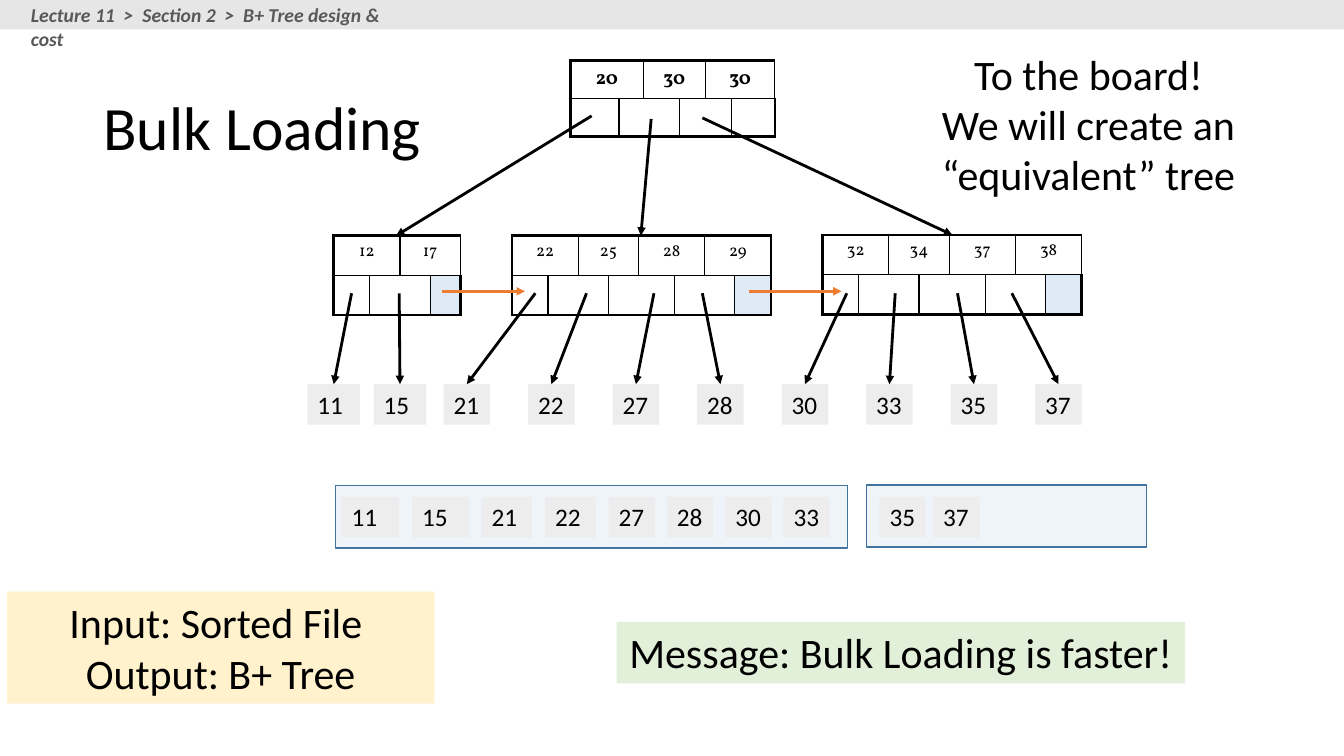
from lxml import etree
from pptx import Presentation, util as u
from pptx.dml.color import RGBColor
from pptx.enum import shapes as kinds, text as txt
from pptx.oxml import ns

COLORS = {"ink": "000000", "grey": "595959", "bar": "E7E6E6", "chip": "EDEDED",
          "page": "DEEBF7", "edge": "43739E", "next": "ED7D31",
          "cream": "FFF2CC", "mint": "E2F0D9"}
CENTER = {"alignment": txt.PP_ALIGN.CENTER}


def set_all(target, values):
    for key, value in values.items():
        setattr(target, key, value)


class TreeSlide:
    """Draws B+ tree nodes, records and captions on one slide."""

    def __init__(self, deck):
        self.slide = deck.slides.add_slide(deck.slide_layouts[6])
        self.shapes = self.slide.shapes
        self.font = {"name": "Calibri", "size": u.Pt(18)}

    def color(self, name):
        return RGBColor.from_string(COLORS[name])

    def put_lines(self, frame, lines, color="ink", para=None, **font):
        for i, line in enumerate(lines):
            paragraph = frame.add_paragraph() if i else frame.paragraphs[0]
            set_all(paragraph, {"alignment": txt.PP_ALIGN.LEFT, **(para or {})})
            run = paragraph.add_run()
            run.text = line
            set_all(run.font, {**self.font, **font})
            run.font.color.rgb = self.color(color)

    def caption(self, box, lines, anchor=txt.MSO_ANCHOR.TOP, **style):
        frame = self.shapes.add_textbox(*map(u.Cm, box)).text_frame
        set_all(frame, {"word_wrap": True, "vertical_anchor": anchor})
        self.put_lines(frame, lines, **style)

    def block(self, box, fill, lines=(), edge=None, alpha=None, **style):
        rect = self.shapes.add_shape(kinds.MSO_SHAPE.RECTANGLE, *map(u.Cm, box))
        rect.shadow.inherit = False
        rect.fill.solid()
        rect.fill.fore_color.rgb = self.color(fill)
        if alpha:
            solid = rect._element.spPr.find(ns.qn("a:solidFill"))
            etree.SubElement(solid[0], ns.qn("a:alpha"), val=str(alpha * 1000))
        if edge:
            rect.line.color.rgb = self.color(edge)
            rect.line.width = u.Pt(1)
        else:
            rect.line.fill.background()
        set_all(rect.text_frame, {"word_wrap": True, "vertical_anchor": txt.MSO_ANCHOR.TOP})
        self.put_lines(rect.text_frame, lines, **style)
        return rect

    def record(self, x, y, key, width=1.17):
        return self.block((x, y, width, 1.02), "chip", [str(key)])

    def arrow(self, start, end, color="ink", target=None):
        link = self.shapes.add_connector(kinds.MSO_CONNECTOR.STRAIGHT,
                                         *map(u.Cm, (*start, *end)))
        if target is not None:
            link.end_connect(target, 0)
        link.line.color.rgb = self.color(color)
        link.line.width = u.Pt(2)
        props = link._element.spPr
        etree.SubElement(props.find(ns.qn("a:ln")), ns.qn("a:tailEnd"), type="triangle")
        etree.SubElement(props, ns.qn("a:effectLst"))

    def border(self, cell, side, points):
        line = etree.SubElement(cell._tc.get_or_add_tcPr(), ns.qn("a:ln" + side),
                                w=str(u.Pt(points)))
        solid = etree.SubElement(line, ns.qn("a:solidFill"))
        etree.SubElement(solid, ns.qn("a:srgbClr"), val=COLORS["ink"])

    def node(self, x, y, columns, row_height, keys, next_leaf=True, **font):
        last = len(columns) - 1
        table = self.shapes.add_table(2, last + 1, u.Cm(x), u.Cm(y), u.Cm(sum(columns)),
                                      u.Cm(2 * row_height)).table
        set_all(table, {"first_row": False, "horz_banding": False})
        for column, width in zip(table.columns, columns):
            column.width = u.Cm(width)
        for row in table.rows:
            row.height = u.Cm(row_height)
        for r in range(2):
            for c in range(last + 1):
                cell = table.cell(r, c)
                outer = {"L": c == 0, "R": c == last, "T": r == 0, "B": r == 1}
                for side, thick in outer.items():
                    self.border(cell, side, 2.25 if thick else 1)
                if next_leaf and r == 1 and c == last:
                    cell.fill.solid()
                    cell.fill.fore_color.rgb = self.color("page")
                else:
                    cell.fill.background()
                if r == 1:
                    set_all(cell, {"margin_top": 0, "margin_bottom": 0})
            for c in range(r, last - r, 2):
                table.cell(r, c).merge(table.cell(r, c + 1))
        for i, key in enumerate(keys):
            self.put_lines(table.cell(0, 2 * i).text_frame, [str(key)], para=CENTER,
                           name="Vollkorn", **font)


def main():
    deck = Presentation()
    set_all(deck, {"slide_width": u.Cm(33.87), "slide_height": u.Cm(19.05)})
    tree = TreeSlide(deck)
    big = {"size": u.Pt(30), "para": CENTER}

    for page in ((21.84, 12.22, 7.06, 1.57), (8.46, 12.24, 12.9, 1.57)):
        tree.block(page, "page", edge="edge", alpha=51)
    tree.caption((2.36, 1.7, 21.59, 3.18), ["Bulk Loading"], txt.MSO_ANCHOR.MIDDLE,
                 para={"line_spacing": 0.9}, size=u.Pt(44))
    tree.block((0, 0, 33.87, 0.74), "bar")
    tree.caption((0.53, -0.05, 10.08, 0.86),
                 ["Lecture 11  >  Section 2  >  B+ Tree design & cost"],
                 color="grey", size=u.Pt(14), bold=True, italic=True)

    wide, slim = 0.91, 0.76
    leaf = [wide, slim, slim, slim, wide, slim, slim, wide]
    tree.node(14.38, 1.52, [1.22, 0.53, 0.91, 0.66, 0.66, 1.09], 0.96, [20, 30, 30],
              next_leaf=False, size=u.Pt(14), bold=True)
    for x, y, columns, keys in ((12.9, 5.94, leaf, [22, 25, 28, 29]),
                                (20.73, 5.92, leaf, [32, 34, 37, 38]),
                                (8.41, 5.94, leaf[:4], [12, 17])):
        tree.node(x, y, columns, 1, keys, size=u.Pt(12))
    for start, end in (((16.41, 3), (16.15, 5.94)), ((17.7, 2.97), (24, 5.92)),
                       ((14.91, 2.92), (9.98, 5.94))):
        tree.arrow(start, end)

    record_y, record_step = 9.68, 2.13
    pointers = {21: 13.49, 22: 14.78, 27: 16.48, 28: 17.7, 30: 21.34, 33: 22.56,
                35: 24.13, 37: 25.5}
    records = [(key, 11.18 + i * record_step, 1.17, pointer)
               for i, (key, pointer) in enumerate(pointers.items())]
    records += [(15, 9.42, 1.32, 10.06), (11, 7.75, 1.32, 8.86)]
    for key, x, width, pointer in records:
        record = tree.record(x, record_y, key, width)
        tree.arrow((pointer, 7.39), (x, record_y), target=record)
    for start, end in ((18.87, 21.21), (11.13, 13.23)):
        tree.arrow((start, 7.34), (end, 7.34), "next")

    sorted_file = [(11, 8.61, 1.45), (15, 10.39, 1.45), (21, 12.14, 1.27), (22, 13.74, 1.27)]
    sorted_file += [(key, 15.34 + 1.47 * i, 1.17) for i, key in enumerate((27, 28, 30, 33))]
    sorted_file += [(35, 22.17, 1.17), (37, 23.52, 1.17)]
    for key, x, width in sorted_file:
        tree.record(x, 12.52, key, width)

    tree.block((0.18, 14.91, 10.77, 2.82), "cream",
               ["Input: Sorted File ", "Output: B+ Tree"], **big)
    tree.caption((21.95, 1.09, 10.97, 4.11),
                 ["To the board!", "We will create an “equivalent” tree"], **big)
    tree.block((15.54, 15.67, 14.33, 1.55), "mint", ["Message: Bulk Loading is faster!"], **big)
    deck.save("out.pptx")


if __name__ == "__main__":
    main()
